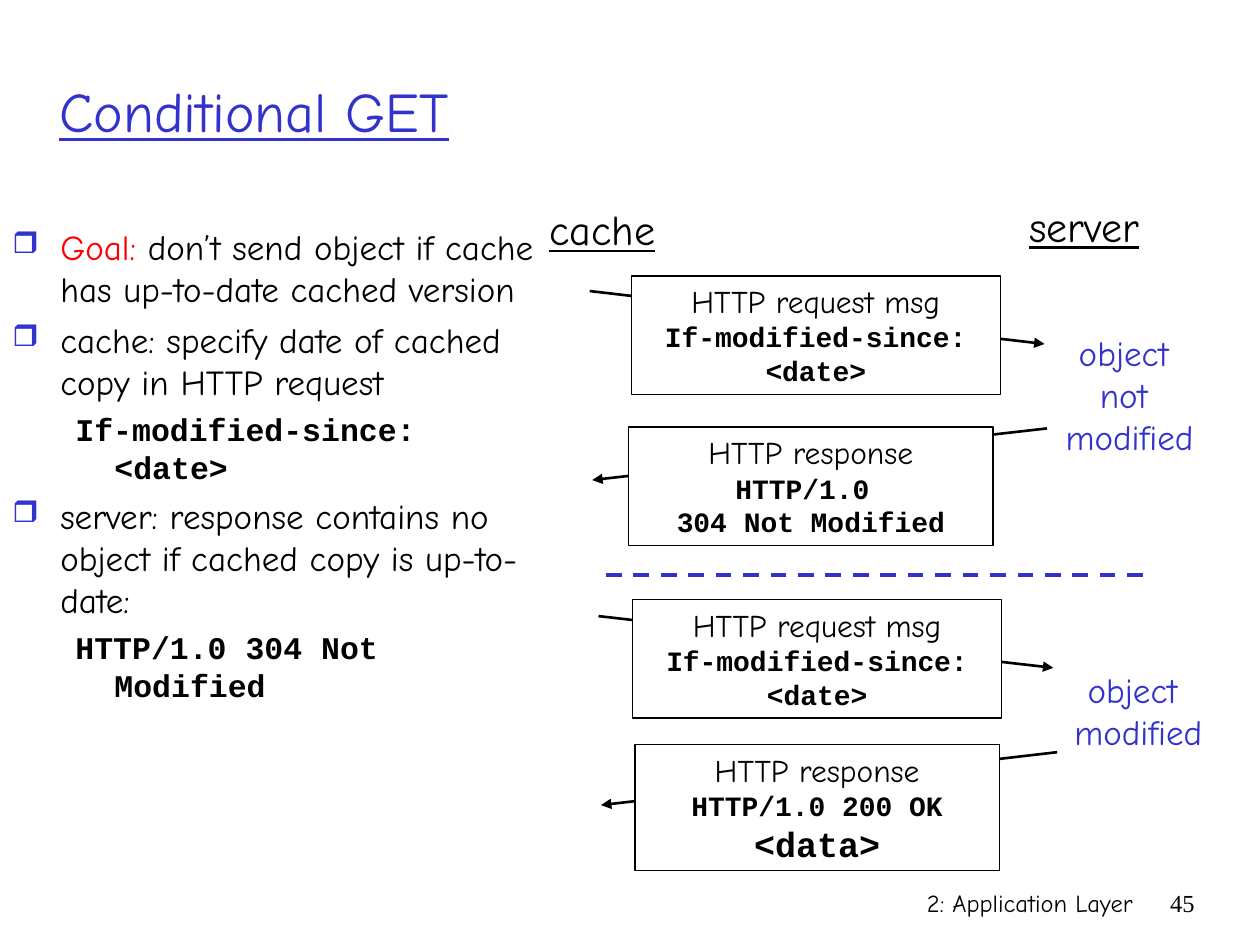
from lxml.etree import SubElement
from pptx import Presentation
from pptx.dml.color import RGBColor
from pptx.enum.dml import MSO_LINE
from pptx.enum.shapes import MSO_CONNECTOR, MSO_SHAPE
from pptx.enum.text import MSO_ANCHOR, MSO_AUTO_SIZE, PP_ALIGN
from pptx.oxml.ns import qn
from pptx.util import Inches, Pt

BLACK = RGBColor(0x00, 0x00, 0x00)
WHITE = RGBColor(0xFF, 0xFF, 0xFF)
BLUE = RGBColor(0x33, 0x33, 0xCC)
RED = RGBColor(0xFF, 0x00, 0x00)
HAND = "Comic Neue"
CODE = "Courier New"
SERIF = "Times New Roman"


def add_run(paragraph, text, size, font=HAND, color=BLACK, underline=False):
    run = paragraph.add_run()
    run.text = text
    run.font.size = Pt(size)
    run.font.name = font
    run.font.bold = font == CODE
    run.font.underline = underline
    run.font.color.rgb = color


def add_paragraphs(text_frame, lines, align):
    """Write lines of (text, size, font, color, underline), the last three optional."""
    for index, line in enumerate(lines):
        paragraph = text_frame.paragraphs[0] if index == 0 else text_frame.add_paragraph()
        paragraph.alignment = align
        add_run(paragraph, *line)


def add_text(slide, box, lines, align=PP_ALIGN.CENTER, wrap=False, anchor=MSO_ANCHOR.TOP):
    """Add a text box; one that does not wrap grows to fit its text."""
    text_frame = slide.shapes.add_textbox(*map(Inches, box)).text_frame
    text_frame.word_wrap = wrap
    text_frame.auto_size = MSO_AUTO_SIZE.NONE if wrap else MSO_AUTO_SIZE.SHAPE_TO_FIT_TEXT
    text_frame.vertical_anchor = anchor
    add_paragraphs(text_frame, lines, align)


def add_line(slide, start, end, color, width):
    connector = slide.shapes.add_connector(
        MSO_CONNECTOR.STRAIGHT, *map(Inches, (*start, *end)))
    connector.line.color.rgb = color
    connector.line.width = Pt(width)
    SubElement(connector._element.spPr, qn("a:effectLst"))
    return connector


def add_message(slide, box, start, end, lines):
    """Draw an arrow between cache and server with the message box over it."""
    arrow = add_line(slide, start, end, BLACK, 1.5)
    SubElement(arrow.line._get_or_add_ln(), qn("a:tailEnd"), type="triangle")
    shape = slide.shapes.add_shape(MSO_SHAPE.RECTANGLE, *map(Inches, box))
    shape.shadow.inherit = False
    shape.fill.solid()
    shape.fill.fore_color.rgb = WHITE
    shape.line.color.rgb = BLACK
    shape.line.width = Pt(0.75)
    shape.text_frame.word_wrap = True
    shape.text_frame.vertical_anchor = MSO_ANCHOR.TOP
    add_paragraphs(shape.text_frame, lines, PP_ALIGN.CENTER)


def set_indent(paragraph, margin, hanging):
    properties = paragraph._p.get_or_add_pPr()
    properties.set("marL", str(Inches(margin)))
    properties.set("indent", str(-Inches(hanging)))
    return properties


def add_bullet(paragraph):
    properties = set_indent(paragraph, 0.38, 0.38)
    color = SubElement(properties, qn("a:buClr"))
    SubElement(color, qn("a:srgbClr"), val=str(BLUE))
    SubElement(properties, qn("a:buSzPct"), val="85000")
    SubElement(properties, qn("a:buChar"), char="❒")


def add_points(slide, box):
    points = [
        ("Goal:", " don’t send object if cache has up-to-date cached version", None),
        ("", "cache: specify date of cached copy in HTTP request",
         "If-modified-since: <date>"),
        ("", "server: response contains no object if cached copy is up-to-date:",
         "HTTP/1.0 304 Not Modified"),
    ]
    text_frame = slide.shapes.add_textbox(*map(Inches, box)).text_frame
    text_frame.word_wrap = True
    for index, (lead, text, code) in enumerate(points):
        paragraph = text_frame.paragraphs[0] if index == 0 else text_frame.add_paragraph()
        paragraph.space_before = Pt(5)
        add_bullet(paragraph)
        if lead:
            add_run(paragraph, lead, 20, color=RED)
        add_run(paragraph, text, 20)
        if code:
            paragraph = text_frame.add_paragraph()
            paragraph.space_before = Pt(4.5)
            set_indent(paragraph, 0.81, 0.31)
            add_run(paragraph, code, 18, CODE)


def add_exchange(slide, request, response, outcome):
    """Draw a request, its response and the state of the object at the server."""
    request_lines = [("HTTP request msg", 18), ("If-modified-since: <date>", 16, CODE)]
    add_message(slide, *request, request_lines)
    box, start, end, code_lines = response
    add_message(slide, box, start, end, [("HTTP response", 18), *code_lines])
    outcome_box, words = outcome
    add_text(slide, outcome_box, [(word, 20, HAND, BLUE) for word in words])


def add_diagram(slide):
    add_text(slide, (4.26, 1.57, 1.04, 0.5), [("cache", 24, HAND, BLACK, True)])
    add_text(slide, (8.07, 1.54, 1.07, 0.5), [("server", 24, HAND, BLACK, True)])
    add_exchange(
        slide,
        request=((5.01, 2.19, 2.93, 0.94), (4.68, 2.31), (8.29, 2.73)),
        response=((4.99, 3.39, 2.89, 0.94), (8.31, 3.4), (4.7, 3.81),
                  [("HTTP/1.0 ", 16, CODE), ("304 Not Modified", 16, CODE)]),
        outcome=((8.31, 2.58, 1.31, 1.1), ("object ", "not ", "modified")))
    divider = add_line(slide, (4.81, 4.56), (9.08, 4.56), BLUE, 2.25)
    divider.line.dash_style = MSO_LINE.DASH
    add_exchange(
        slide,
        request=((5.02, 4.76, 2.93, 0.94), (4.75, 4.89), (8.36, 5.3)),
        response=((5.04, 5.91, 2.89, 1), (8.39, 5.97), (4.77, 6.39),
                  [("HTTP/1.0 200 OK", 16, CODE), ("<data>", 20, CODE)]),
        outcome=((8.38, 5.26, 1.31, 0.77), ("object ", "modified")))


def add_footer(slide):
    add_text(slide, (5.92, 7, 3.17, 0.5), [("2: Application Layer", 14)],
             PP_ALIGN.RIGHT, wrap=True)
    add_text(slide, (9.08, 7, 0.5, 0.5), [("45", 14, SERIF)], PP_ALIGN.RIGHT, wrap=True)


def main():
    presentation = Presentation()
    presentation.slide_width = Inches(10)
    presentation.slide_height = Inches(7.5)
    slide = presentation.slides.add_slide(presentation.slide_layouts[6])
    add_footer(slide)
    add_text(slide, (0.37, 0.25, 8.71, 1.25), [("Conditional GET", 32, HAND, BLUE, True)],
             PP_ALIGN.LEFT, wrap=True, anchor=MSO_ANCHOR.MIDDLE)
    add_points(slide, (0, 1.74, 4.42, 4.71))
    add_diagram(slide)
    presentation.save("out.pptx")


if __name__ == "__main__":
    main()
